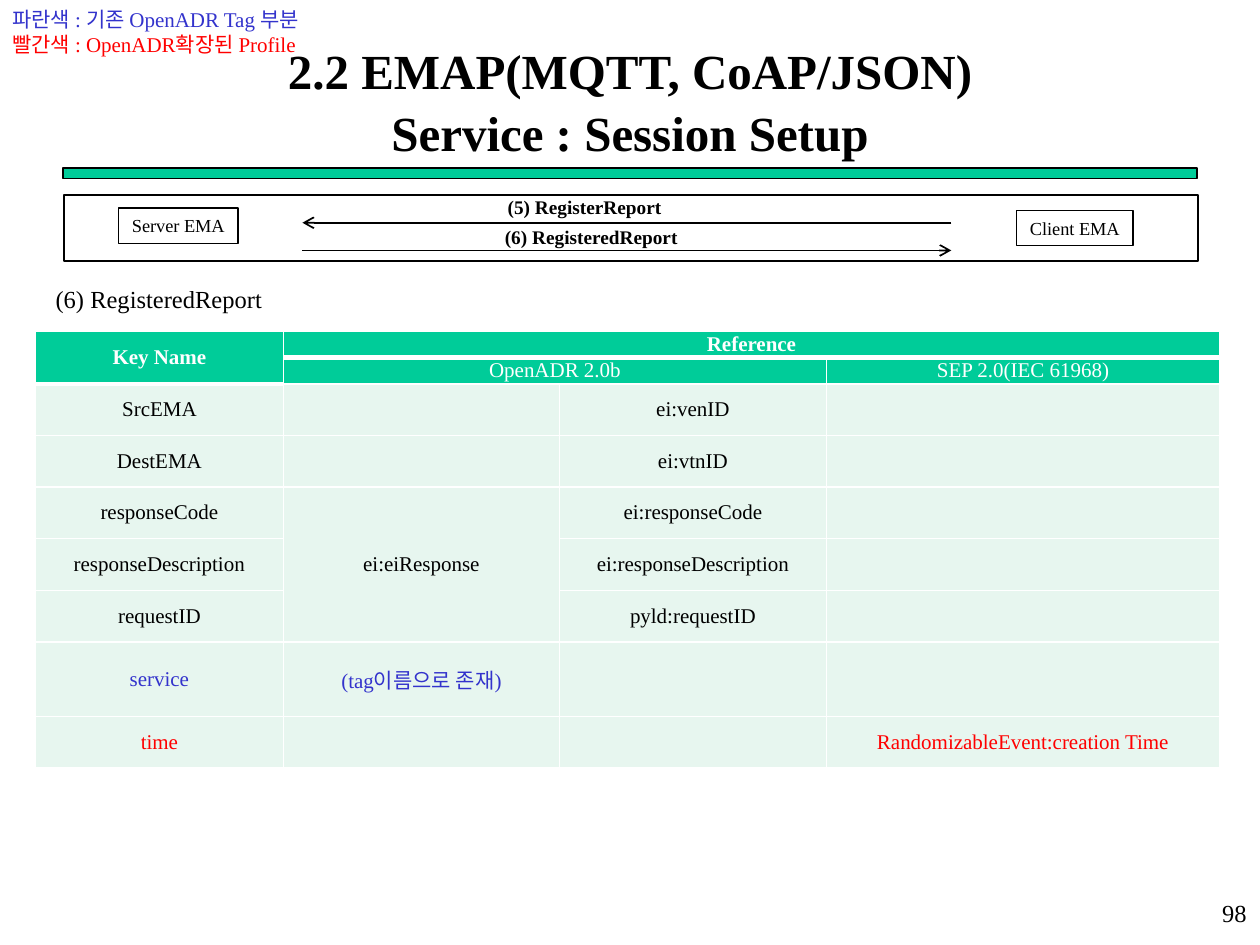
from lxml.etree import SubElement
from pptx import Presentation
from pptx.dml.color import RGBColor
from pptx.enum.shapes import MSO_CONNECTOR as Connector, MSO_SHAPE as Shape
from pptx.enum.text import MSO_ANCHOR as Anchor, PP_ALIGN as Align
from pptx.oxml.ns import qn
from pptx.util import Pt

BLACK = RGBColor(0x00, 0x00, 0x00)
WHITE = RGBColor(0xFF, 0xFF, 0xFF)
GREEN = RGBColor(0x00, 0xCC, 0x99)
PALE = RGBColor(0xE7, 0xF6, 0xEF)
BLUE = RGBColor(0x33, 0x33, 0xCC)
RED = RGBColor(0xFF, 0x00, 0x00)
FONT = "Times New Roman"

COLUMNS = [141.8, 157.7, 152.6, 224.7]
ROWS = [15, 15] + [29.5] * 5 + [42.5, 29.5]
CELLS = [
    ["Key Name", "Reference", "", ""],
    ["", "OpenADR 2.0b", "", "SEP 2.0(IEC 61968)"],
    ["SrcEMA", "", "ei:venID", ""],
    ["DestEMA", "", "ei:vtnID", ""],
    ["responseCode", "ei:eiResponse", "ei:responseCode", ""],
    ["responseDescription", "", "ei:responseDescription", ""],
    ["requestID", "", "pyld:requestID", ""],
    ["service", "(tag이름으로 존재)", "", ""],
    ["time", "", "", "RandomizableEvent:creation Time"],
]
# First and last cell of each merged block, as (row, column)
MERGES = [((0, 0), (1, 0)), ((0, 1), (0, 3)), ((1, 1), (1, 2)), ((4, 1), (6, 1))]
ROW_COLORS = {0: WHITE, 1: WHITE, 7: BLUE, 8: RED}


def write(para, text, size=12, color=BLACK, bold=False, align=Align.LEFT):
    para.text = text
    para.alignment = align
    for span in para.runs:
        span.font.name = FONT
        span.font.size = Pt(size)
        span.font.bold = bold
        span.font.color.rgb = color


def add_text(page, left, top, width, height, text, wrap=False, **style):
    box = page.shapes.add_textbox(Pt(left), Pt(top), Pt(width), Pt(height))
    box.text_frame.word_wrap = wrap
    write(box.text_frame.paragraphs[0], text, **style)
    return box


def add_box(page, left, top, width, height, fill=WHITE, line=0.75, text=""):
    box = page.shapes.add_shape(Shape.RECTANGLE, Pt(left), Pt(top), Pt(width), Pt(height))
    box.shadow.inherit = False
    box.fill.solid()
    box.fill.fore_color.rgb = fill
    box.line.color.rgb = BLACK
    box.line.width = Pt(line)
    if text:
        box.text_frame.word_wrap = False
        write(box.text_frame.paragraphs[0], text, size=10.5, align=Align.CENTER)


def add_arrow(page, start, end, y):
    arrow = page.shapes.add_connector(Connector.STRAIGHT, Pt(start), Pt(y), Pt(end), Pt(y))
    arrow.line.color.rgb = BLACK
    arrow.line.width = Pt(1)
    SubElement(arrow.line._get_or_add_ln(), qn("a:tailEnd"), type="arrow")
    SubElement(arrow._element.spPr, qn("a:effectLst"))


def set_borders(cell, top, bottom):
    properties = cell._tc.get_or_add_tcPr()
    widths = {"lnL": 1, "lnR": 1, "lnT": top, "lnB": bottom}
    for index, (tag, width) in enumerate(widths.items()):
        line = properties.makeelement(qn(f"a:{tag}"), {"w": str(Pt(width))})
        fill = SubElement(line, qn("a:solidFill"))
        SubElement(fill, qn("a:srgbClr"), val=str(WHITE))
        properties.insert(index, line)


def add_mapping_table(page):
    frame = page.shapes.add_table(len(ROWS), len(COLUMNS), Pt(20.2), Pt(189.4),
                                  Pt(sum(COLUMNS)), Pt(sum(ROWS)))
    table = frame.table
    for column, width in zip(table.columns, COLUMNS):
        column.width = Pt(width)
    for row, height in zip(table.rows, ROWS):
        row.height = Pt(height)
    for first, last in MERGES:
        table.cell(*first).merge(table.cell(*last))

    # Thick rules run below the first row and below "Key Name"
    thick_below = {(0, 0), (0, 1), (0, 2), (0, 3), (1, 0)}
    for r, texts in enumerate(CELLS):
        for c, text in enumerate(texts):
            cell = table.cell(r, c)
            cell.margin_left = cell.margin_right = Pt(0)
            cell.margin_top = cell.margin_bottom = Pt(0)
            cell.vertical_anchor = Anchor.MIDDLE
            cell.fill.solid()
            cell.fill.fore_color.rgb = GREEN if r < 2 else PALE
            set_borders(cell, top=3 if (r - 1, c) in thick_below else 1,
                        bottom=3 if (r, c) in thick_below else 1)
            if text:
                write(cell.text_frame.paragraphs[0], text, bold=r == 0,
                      color=ROW_COLORS.get(r, BLACK), align=Align.CENTER)


def add_title(page, text):
    title = page.shapes.title
    title.left, title.top, title.width, title.height = Pt(36), Pt(24), Pt(648), Pt(66)
    title.text_frame.vertical_anchor = Anchor.MIDDLE
    para = title.text_frame.paragraphs[0]
    write(para, text, size=28, bold=True, align=Align.CENTER)
    para.line_spacing = 1.05


def main():
    deck = Presentation()
    deck.slide_width, deck.slide_height = Pt(720), Pt(540)
    page = deck.slides.add_slide(deck.slide_layouts[5])

    # Heading and page number
    add_box(page, 36, 96, 648, 6, fill=GREEN)
    add_title(page, "2.2 EMAP(MQTT, CoAP/JSON)\vService : Session Setup")
    add_text(page, 569.5, 509.8, 150, 30, "98", wrap=True, size=14, align=Align.RIGHT)

    # Message exchange between server and client
    add_box(page, 36.7, 111.6, 648, 37.4, line=1)
    add_box(page, 581, 120.2, 66.5, 20.2, text="Client EMA")
    add_box(page, 67.7, 118.8, 68.4, 20.2, text="Server EMA")
    add_arrow(page, 543.6, 172.8, 127.3)
    add_arrow(page, 172.8, 543.6, 143.1)
    add_text(page, 283, 108, 103, 20.9, "(5) RegisterReport", size=11, bold=True)
    add_text(page, 281.4, 124.9, 113.2, 20.9, "(6) RegisteredReport", size=11, bold=True)

    # Key mapping
    add_text(page, 23.8, 158.6, 134, 24.5, "(6) RegisteredReport", size=14, align=Align.CENTER)
    add_mapping_table(page)

    # Colour legend
    legend = add_text(page, 0, 0, 184.3, 36, "파란색 : 기존 OpenADR Tag 부분", wrap=True, color=BLUE)
    write(legend.text_frame.add_paragraph(), "빨간색 : OpenADR확장된 Profile", color=RED)

    deck.save("out.pptx")


if __name__ == "__main__":
    main()
